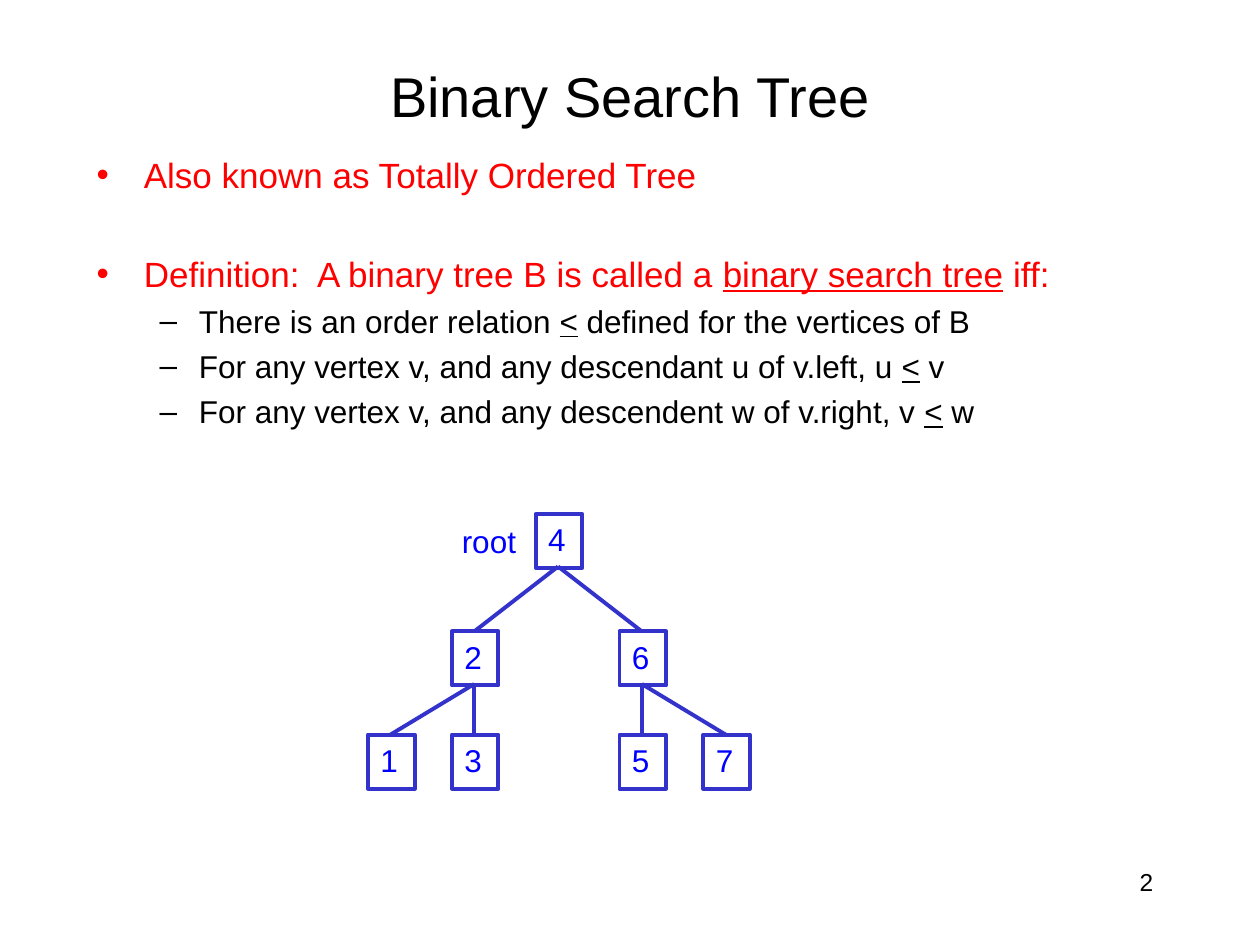
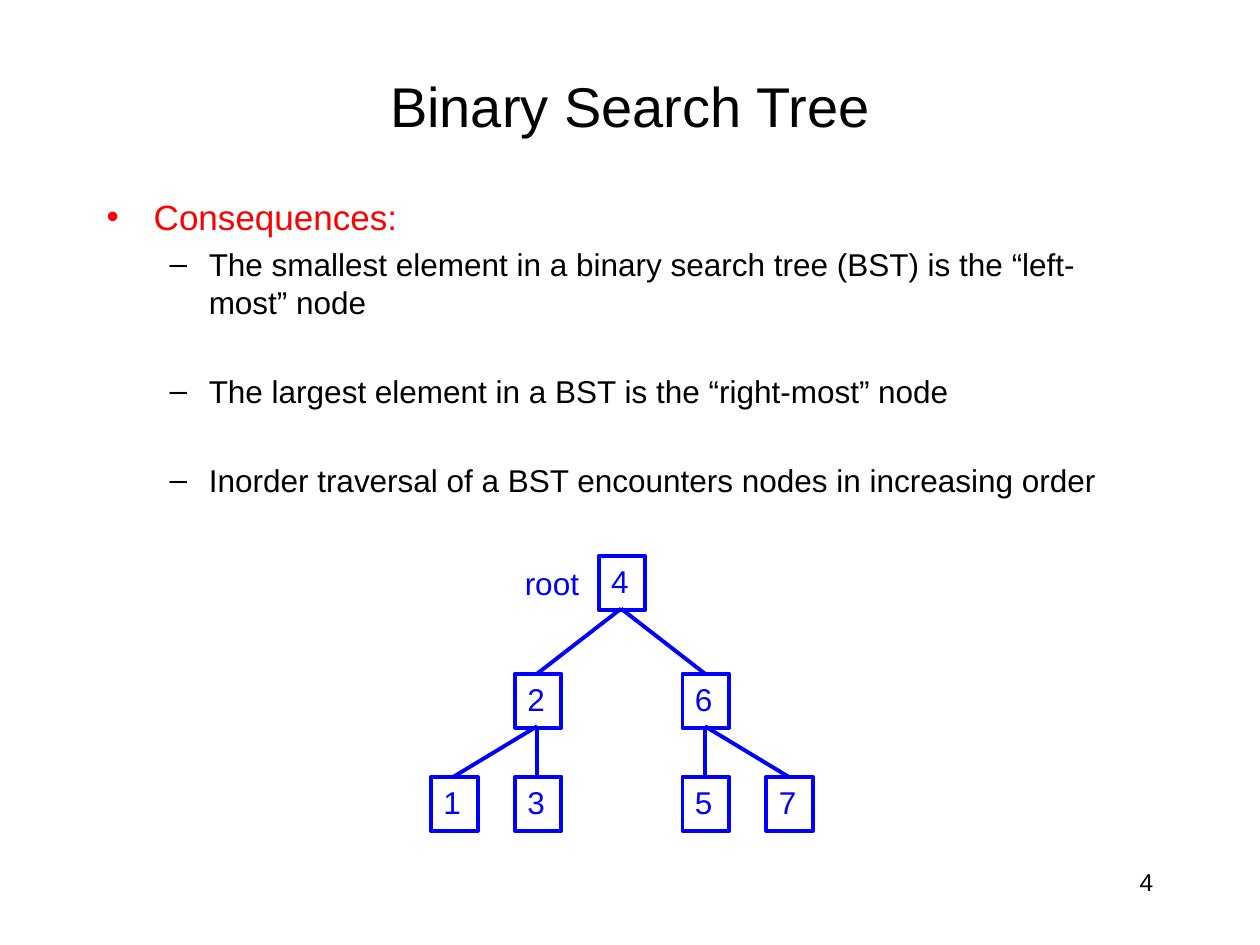
from lxml.etree import SubElement
from pptx import Presentation
from pptx.dml.color import RGBColor
from pptx.enum.shapes import MSO_CONNECTOR, MSO_SHAPE
from pptx.enum.text import MSO_ANCHOR, PP_ALIGN
from pptx.oxml.ns import qn
from pptx.util import Cm, Pt

FONT = "Arial"
BLACK, RED, BLUE, INDIGO = "000000", "FF0000", "0000FF", "3333CC"
TITLE = "Binary Search Tree"

LEVELS = [
    dict(size=20, color=RED, bullet="•", left=0.95, hang=0.95),
    dict(size=18, color=BLACK, bullet="–", left=2.06, hang=0.79),
]

SLIDES = [
    dict(
        number="2",
        title=(1.9, 1.06, 21.6, 1.7),
        body=(1.7, 2.96, 21.8, 14.4),
        shift=(0, 0),
        line=INDIGO,
        points=[
            (0, "Also known as Totally Ordered Tree", False),
            (0, "Definition:  A binary tree B is called a _binary search tree_ iff:", True),
            (1, "There is an order relation _<_ defined for the vertices of B", False),
            (1, "For any vertex v, and any descendant u of v.left, u _<_ v", False),
            (1, "For any vertex v, and any descendent w of v.right, v _<_ w", False),
        ],
    ),
    dict(
        number="4",
        title=(1.9, 1.06, 21.6, 2.12),
        body=(1.9, 3.81, 21.6, 13.13),
        shift=(1.27, 0.85),
        line=BLUE,
        points=[
            (0, "Consequences:", False),
            (1, "The smallest element in a binary search tree (BST) is the “left-most” node", False),
            (1, "The largest element in a BST is the “right-most” node", True),
            (1, "Inorder traversal of a BST encounters nodes in increasing order", True),
        ],
    ),
]

NODES = {"4": (2, 0), "2": (1, 1), "6": (3, 1),
         "1": (0, 2), "3": (1, 2), "5": (3, 2), "7": (4, 2)}
EDGES = ["42", "46", "21", "23", "65", "67"]
LEFT, PITCH = 7.42, 1.69
ROWS = [10.36, 12.73, 14.81]
WIDE, HIGH, STEM = 0.94, 1.09, 0.45


def paint(code):
    return RGBColor.from_string(code)


def write(frame, text, size=18, color=BLACK, align=PP_ALIGN.LEFT,
          bullet=None, left=0, hang=0, before=0):
    para = frame.paragraphs[0]
    if para.runs:
        para = frame.add_paragraph()
    para.alignment = align
    para.space_before = Pt(before)
    if bullet:
        props = para._p.get_or_add_pPr()
        props.set("marL", str(Cm(left)))
        props.set("indent", str(-Cm(hang)))
        SubElement(props, qn("a:buFont")).set("typeface", FONT)
        SubElement(props, qn("a:buChar")).set("char", bullet)
    for index, part in enumerate(text.split("_")):
        run = para.add_run()
        run.text = part
        font = run.font
        font.name, font.size = FONT, Pt(size)
        font.color.rgb = paint(color)
        if index % 2:
            font.underline = True


def panel(slide, box, anchor=MSO_ANCHOR.TOP):
    frame = slide.shapes.add_textbox(*map(Cm, box)).text_frame
    frame.word_wrap = True
    frame.vertical_anchor = anchor
    return frame


def list_points(slide, box, points):
    frame = panel(slide, box)
    for order, (level, text, apart) in enumerate(points):
        style = LEVELS[level]
        space = 0.24 + (1.39 if apart else 0)
        write(frame, text, before=space * style["size"] if order else 0, **style)


def draw_tree(slide, shift, color):
    right, down = shift

    def place(name):
        column, row = NODES[name]
        return LEFT + column * PITCH + right, ROWS[row] + down

    for name in NODES:
        x, y = place(name)
        node = slide.shapes.add_shape(MSO_SHAPE.RECTANGLE, Cm(x), Cm(y), Cm(WIDE), Cm(HIGH))
        node.shadow.inherit = False
        node.fill.background()
        node.line.color.rgb = paint(color)
        node.line.width = Pt(2.25)
        node.text_frame.vertical_anchor = MSO_ANCHOR.TOP
        write(node.text_frame, name, color=BLUE)

    for parent, child in EDGES:
        x, y = place(parent)
        end, top = place(child)
        edge = slide.shapes.add_connector(
            MSO_CONNECTOR.STRAIGHT, Cm(x + STEM), Cm(y + HIGH - 0.03), Cm(end + STEM), Cm(top))
        edge.line.color.rgb = paint(color)
        edge.line.width = Pt(2.25)
        SubElement(edge._element.spPr, qn("a:effectLst"))

    x, y = place("4")
    label = panel(slide, (x - 1.74, y + 0.03, 1.6, 1.02))
    label.word_wrap = False
    write(label, "root", color=BLUE)


def main():
    deck = Presentation()
    deck.slide_width, deck.slide_height = Cm(25.4), Cm(19.05)
    for page in SLIDES:
        slide = deck.slides.add_slide(deck.slide_layouts[6])
        write(panel(slide, (18.2, 17.36, 5.3, 1.27)), page["number"],
              size=14, align=PP_ALIGN.RIGHT)
        write(panel(slide, page["title"], MSO_ANCHOR.MIDDLE), TITLE,
              size=32, align=PP_ALIGN.CENTER)
        list_points(slide, page["body"], page["points"])
        draw_tree(slide, page["shift"], page["line"])
    deck.save("out.pptx")


if __name__ == "__main__":
    main()
